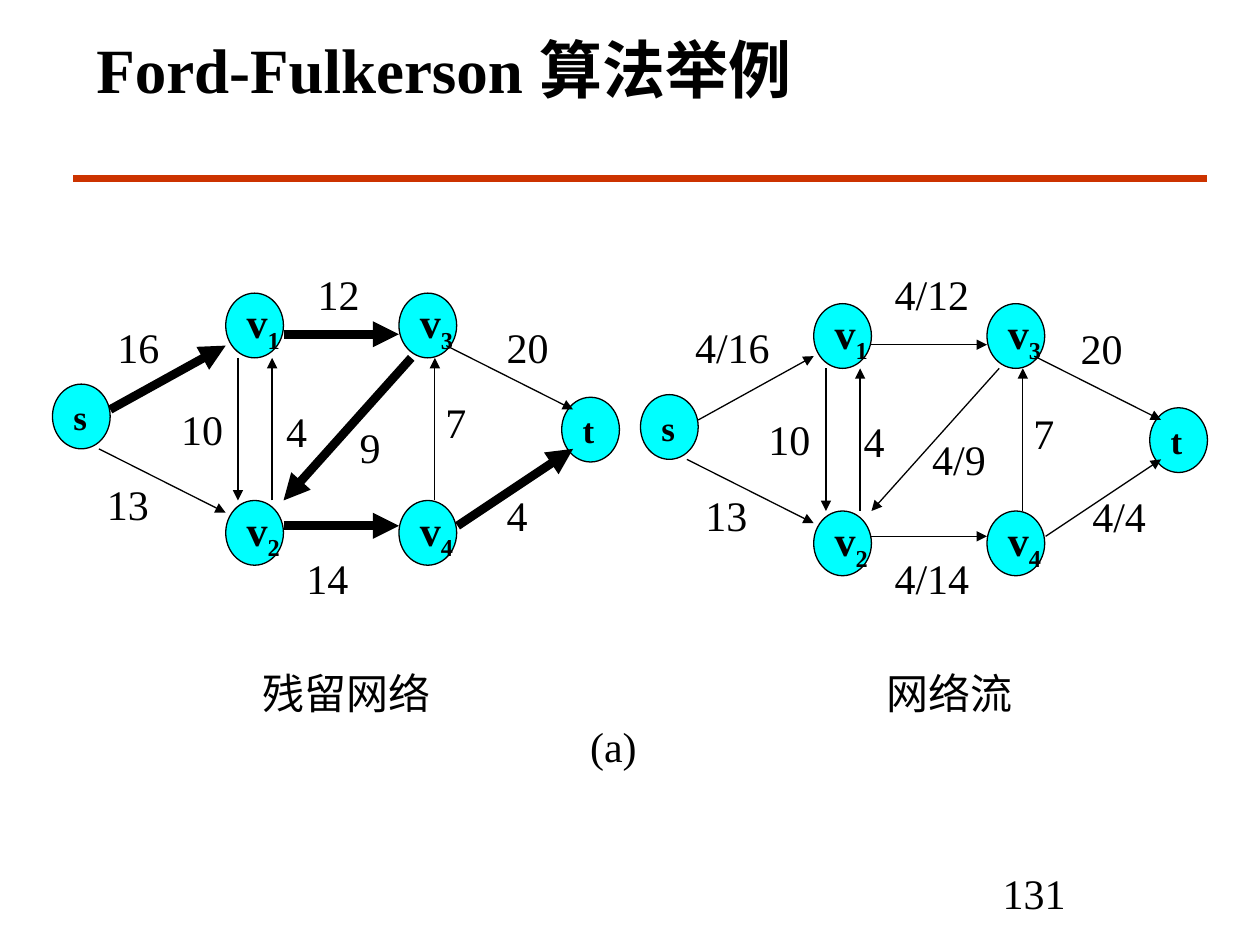
from lxml.etree import SubElement
from pptx import Presentation
from pptx.dml.color import RGBColor
from pptx.enum.shapes import MSO_CONNECTOR as Connector, MSO_SHAPE as Shape
from pptx.enum.text import MSO_ANCHOR as Anchor, MSO_AUTO_SIZE as AutoSize, PP_ALIGN as Align
from pptx.oxml.ns import qn
from pptx.util import Pt


def color(value):
    return RGBColor.from_string(value)


class Sketch:
    font = "Times New Roman"
    ink = "000000"
    node_fill = "00FFFF"
    accent = "CC3300"
    node_width, node_height = 33, 37
    label_widths = {1: 26.4, 2: 38.4, 3: 45.6, 4: 57}

    def __init__(self, slide):
        self.slide = slide

    def style(self, paragraph, size, bold=False, align=Align.LEFT):
        paragraph.alignment = align
        paragraph.font.name = self.font
        paragraph.font.size = Pt(size)
        paragraph.font.bold = bold
        paragraph.font.color.rgb = color(self.ink)

    def text(self, text, left, top, width, height=36, size=24, bold=False,
             align=Align.CENTER, wrap=True, anchor=Anchor.TOP):
        box = self.slide.shapes.add_textbox(Pt(left), Pt(top), Pt(width), Pt(height))
        frame = box.text_frame
        frame.word_wrap = wrap
        frame.vertical_anchor = anchor
        if not wrap:
            frame.auto_size = AutoSize.SHAPE_TO_FIT_TEXT
        paragraph = frame.paragraphs[0]
        paragraph.add_run().text = text
        self.style(paragraph, size, bold, align)

    def label(self, text, center, top):
        width = self.label_widths[len(text)]
        self.text(text, center - width / 2, top, width, wrap=False)

    def node(self, name, left, top):
        shape = self.slide.shapes.add_shape(
            Shape.OVAL, Pt(left), Pt(top), Pt(self.node_width), Pt(self.node_height))
        shape.shadow.inherit = False
        shape.fill.solid()
        shape.fill.fore_color.rgb = color(self.node_fill)
        shape.line.color.rgb = color(self.ink)
        shape.line.width = Pt(0.75)
        frame = shape.text_frame
        frame.word_wrap = False
        frame.vertical_anchor = Anchor.MIDDLE
        paragraph = frame.paragraphs[0]
        letter, index = name[0], name[1:]
        paragraph.add_run().text = letter
        if index:
            subscript = paragraph.add_run()
            subscript.text = index
            subscript.font._element.set("baseline", "-25000")
        self.style(paragraph, 24 if index else 20, bold=True)

    def line(self, start, end, width, value, arrow=False):
        connector = self.slide.shapes.add_connector(
            Connector.STRAIGHT, *(Pt(length) for length in (*start, *end)))
        connector.line.color.rgb = color(value)
        connector.line.width = Pt(width)
        if arrow:
            SubElement(connector.line._get_or_add_ln(), qn("a:tailEnd"), type="triangle")
        SubElement(connector._element.spPr, qn("a:effectLst"))

    def edge(self, start, end, bold):
        self.line(start, end, 5 if bold else 0.75, self.ink, arrow=True)

    def network(self, dx, dy, labels, bold_edges=()):
        for name, (left, top) in NODES.items():
            self.node(name, left + dx, top + dy)
        for name, (x1, y1, x2, y2) in EDGES.items():
            self.edge((x1 + dx, y1 + dy), (x2 + dx, y2 + dy), name in bold_edges)
        for text, center, top in labels:
            self.label(text, center, top)


NODES = {
    "s": (30, 219.5),
    "v1": (129, 167.5), "v2": (129, 286),
    "v3": (228, 167.5), "v4": (228, 286),
    "t": (321, 227),
}
EDGES = {
    "s-v1": (63, 234, 129, 197.5),
    "s-v2": (56.5, 256.5, 129, 293),
    "v1-v3": (162, 191, 228, 191),
    "v2-v4": (162, 300.5, 228, 300.5),
    "v1-v2": (136, 204.5, 136, 286),
    "v2-v1": (155.5, 286, 155.5, 204.5),
    "v4-v3": (248.5, 286, 248.5, 204.5),
    "v3-v2": (235, 204.5, 162, 286),
    "v3-t": (255, 197.5, 327.5, 234),
    "v4-t": (261.5, 300.5, 327.5, 256.5),
}
AUGMENTING_PATH = {"s-v1", "v1-v3", "v3-v2", "v2-v4", "v4-t"}
RESIDUAL_LABELS = [
    ("16", 79, 180), ("13", 73, 270), ("12", 193.5, 150), ("14", 187, 312),
    ("10", 115.5, 227), ("4", 169.5, 228), ("9", 211.5, 237.5),
    ("7", 260.5, 223), ("20", 301.5, 180), ("4", 295.5, 276),
]
FLOW_LABELS = [
    ("4/16", 418.5, 180), ("13", 415, 276), ("4/12", 532.5, 150), ("4/14", 532.5, 312),
    ("10", 451, 232.5), ("4", 499.5, 234), ("4/9", 548, 244),
    ("7", 596.5, 229.5), ("20", 629.5, 180.5), ("4/4", 639.5, 277),
]


def main():
    presentation = Presentation()
    presentation.slide_width, presentation.slide_height = Pt(720), Pt(540)
    sketch = Sketch(presentation.slides.add_slide(presentation.slide_layouts[6]))
    sketch.line((42, 102), (690, 102), 4.5, sketch.accent)
    sketch.text("Ford-Fulkerson 算法举例", 48, 12, 598, 54, size=36, bold=True,
                align=Align.LEFT, anchor=Anchor.MIDDLE)
    sketch.network(0, 0, RESIDUAL_LABELS, AUGMENTING_PATH)
    sketch.network(336, 6, FLOW_LABELS)
    for caption, left in (("残留网络", 105), ("网络流", 449.5)):
        sketch.text(caption, left, 378, 186.5)
    sketch.label("(a)", 350.5, 408)
    sketch.text("131", 516, 492, 150)
    presentation.save("out.pptx")


if __name__ == "__main__":
    main()
